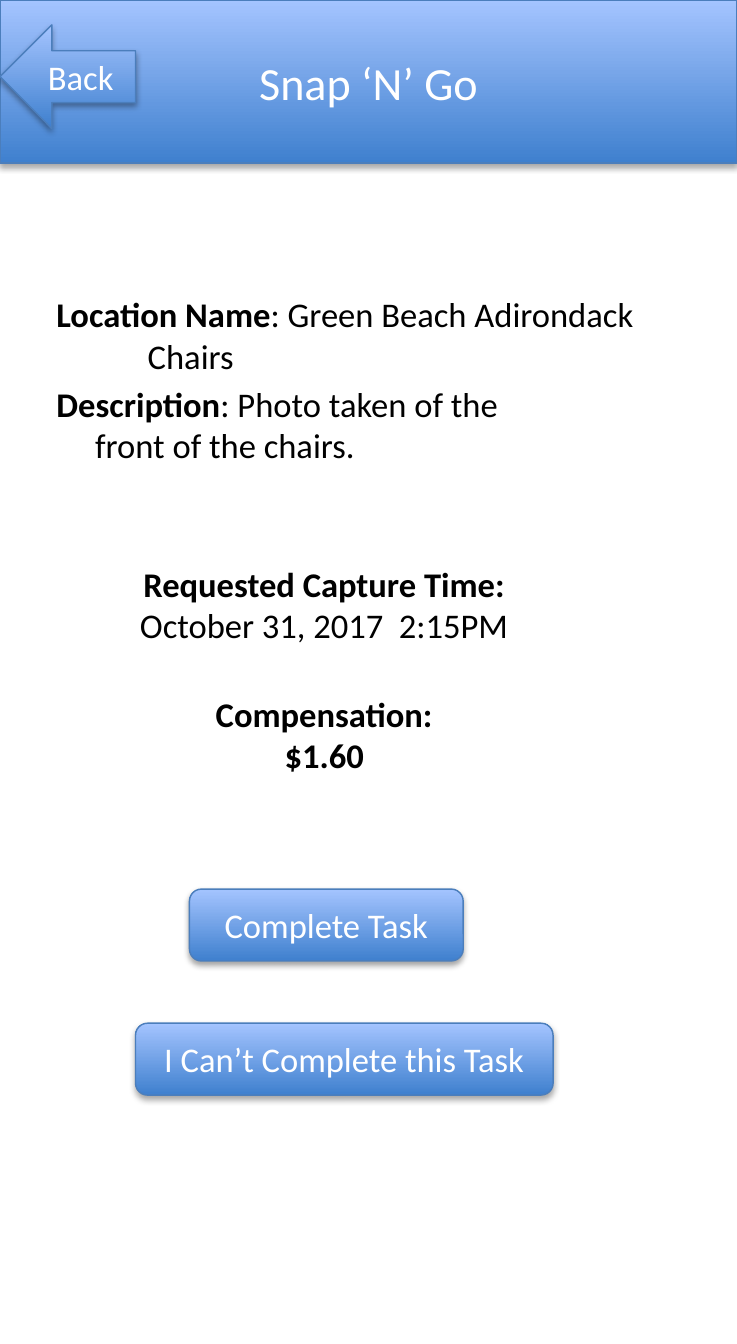
import pptx
import pptx.dml.color
import pptx.enum.shapes
import pptx.enum.text
import pptx.util
import lxml.etree

Inches = pptx.util.Inches
Pt = pptx.util.Pt
SHAPE = pptx.enum.shapes.MSO_SHAPE
ALIGN = pptx.enum.text.PP_ALIGN
DRAWING = "http://schemas.openxmlformats.org/drawingml/2006/main"
SHADOW = f"""<a:outerShdw xmlns:a="{DRAWING}" blurRad="40000" dist="23000" dir="5400000" rotWithShape="0">
<a:srgbClr val="000000"><a:alpha val="35000"/></a:srgbClr></a:outerShdw>"""


def color(hex_code):
    return pptx.dml.color.RGBColor.from_string(hex_code)


def write(paragraph, runs, size, hex_code, align):
    paragraph.alignment = align
    for words, bold in runs:
        run = paragraph.add_run()
        run.text = words
        for key, value in {"name": "Calibri", "size": Pt(size), "bold": bold}.items():
            setattr(run.font, key, value)
        run.font.color.rgb = color(hex_code)


app = pptx.Presentation()
app.slide_width, app.slide_height = Inches(5.33), Inches(9.72)
screen = app.slides.add_slide(app.slide_layouts[5])

# Header bar and buttons: preset, position and size, label, text size
controls = [
    (None, (0, 0, 5.33, 1.18), "Snap ‘N’ Go", 24),
    (SHAPE.LEFT_ARROW, (0, 0.18, 0.98, 0.75), "Back", 18),
    (SHAPE.ROUNDED_RECTANGLE, (1.37, 6.43, 1.98, 0.52), "Complete Task", 18),
    (SHAPE.ROUNDED_RECTANGLE, (0.98, 7.4, 3.02, 0.52), "I Can’t Complete this Task", 18),
]
for preset, box, label, size in controls:
    place = [Inches(length) for length in box]
    if preset is None:
        control = screen.shapes.title
        for side, length in zip(("left", "top", "width", "height"), place):
            setattr(control, side, length)
    else:
        control = screen.shapes.add_shape(preset, *place)

    control.fill.gradient()
    control.fill.gradient_angle = 90
    for stop, shade in zip(control.fill.gradient_stops, ("3F80CE", "A4C4FF")):
        stop.color.rgb = color(shade)
    for stop, position in zip(control.fill.gradient_stops, (0, 1)):
        stop.position = position
    control.line.color.rgb = color("4B7EBC")
    control.line.width = Pt(0.75)
    control.shadow.inherit = False
    effects = control.element.spPr.find(f"{{{DRAWING}}}effectLst")
    effects.append(lxml.etree.fromstring(SHADOW))

    control.text_frame.vertical_anchor = pptx.enum.text.MSO_ANCHOR.MIDDLE
    write(control.text_frame.paragraphs[0], [(label, False)], size, "FFFFFF", ALIGN.CENTER)

# Task details: position and size, hanging indent, alignment, paragraphs of (words, bold)
details = [
    ((0.31, 2.07, 5.02, 0.71), 0.66, ALIGN.LEFT,
     [[("Location Name", True), (": Green Beach Adirondack \vChairs", False)]]),
    ((0.31, 2.72, 4.08, 0.71), 0.28, ALIGN.LEFT,
     [[("Description", True), (": Photo taken of the \vfront of the chairs.", False)]]),
    ((0.61, 4.02, 3.47, 0.71), 0, ALIGN.CENTER,
     [[("Requested Capture Time: ", True), ("October 31, 2017  2:15PM", False)]]),
    ((0.61, 4.96, 3.47, 0.71), 0, ALIGN.CENTER,
     [[("Compensation:", True)], [("$1.60", True)]]),
]
for box, hang, align, paragraphs in details:
    detail = screen.shapes.add_textbox(*[Inches(length) for length in box]).text_frame
    detail.word_wrap = True
    for number, runs in enumerate(paragraphs):
        paragraph = detail.add_paragraph() if number else detail.paragraphs[0]
        # A run cannot hold a line break, so each break goes between runs
        for words, bold in runs:
            for part, line in enumerate(words.split("\v")):
                if part:
                    paragraph.add_line_break()
                write(paragraph, [(line, bold)], 18, "000000", align)
        if hang:
            properties = paragraph._p.get_or_add_pPr()
            properties.set("marL", str(Inches(hang)))
            properties.set("indent", str(-Inches(hang)))

app.save("out.pptx")
